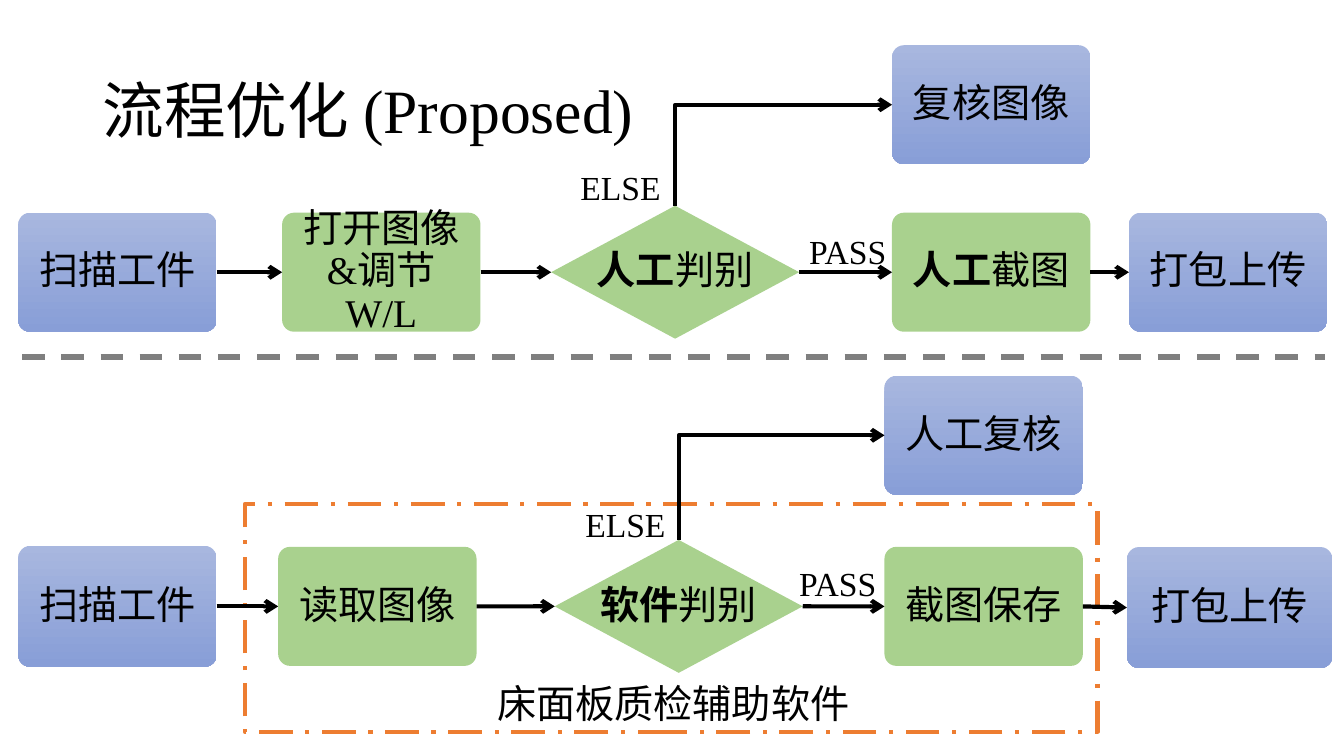
import pptx
import pptx.util
import pptx.dml.color
import pptx.enum.dml
import pptx.enum.shapes
import pptx.enum.text
import pptx.oxml.ns
import lxml.etree

Cm, Pt = pptx.util.Cm, pptx.util.Pt
RGB = pptx.dml.color.RGBColor.from_string
Kind = pptx.enum.shapes.MSO_SHAPE
Wire = pptx.enum.shapes.MSO_CONNECTOR
Dash = pptx.enum.dml.MSO_LINE
Align = pptx.enum.text.PP_ALIGN
Anchor = pptx.enum.text.MSO_ANCHOR
qn = pptx.oxml.ns.qn

# Content: name, runs as (text, bold), look, left, middle, width, height in cm
STEPS = [
    ("scan", [("扫描工件", False)], "blue", 0.46, 6.86, 5, 3),
    ("open", [("打开图像&调节W/L", False)], "green", 7.11, 6.86, 5, 3),
    ("judge", [("人工", True), ("判别", False)], "choice", 13.89, 6.86, 6.25, 3.35),
    ("crop", [("人工", True), ("截图", False)], "green", 22.48, 6.86, 5, 3),
    ("send", [("打包上传", False)], "blue", 28.45, 6.86, 5, 3),
    ("check", [("复核图像", False)], "blue", 22.48, 2.64, 5, 3),
    ("scan2", [("扫描工件", False)], "blue", 0.46, 15.28, 5, 3.05),
    ("read2", [("读取图像", False)], "green", 7.01, 15.28, 5, 3),
    ("judge2", [("软件", True), ("判别", False)], "choice", 13.98, 15.28, 6.25, 3.35),
    ("crop2", [("截图保存", False)], "green", 22.29, 15.28, 5, 3),
    ("send2", [("打包上传", False)], "blue", 28.4, 15.31, 5.18, 3.05),
    ("check2", [("人工复核", False)], "blue", 22.29, 10.97, 5, 3),
]
FLOWS = [("scan", "open", "judge", "crop", "send"),
         ("scan2", "read2", "judge2", "crop2", "send2")]
TURNS = [("judge", "check"), ("judge2", "check2")]
LABELS = [("PASS", 20.14, 5.69), ("ELSE", 14.38, 4.09),
          ("PASS", 19.89, 14.05), ("ELSE", 14.5, 12.57)]
TITLE = ("流程优化 (Proposed)", 2.34, 1.02, 29.2, 3.68)
NOTE = ("床面板质检辅助软件", 10.21, 17.12, 13.51, 1.35)
FRAME = (6.17, 12.7, 21.49, 5.74)
RULE = (0.56, 8.99, 33.38, 8.99)

THEME = {
    "font": "Times New Roman", "ink": "000000", "green": "A9D18E",
    "blue": ("A8B7DF", "889ED7"), "frame": "ED7D31", "rule": "7F7F7F",
    "title": 44, "step": 28, "label": 24, "line": 3, "thick": 4,
}

deck = pptx.Presentation()
deck.slide_width, deck.slide_height = Cm(33.87), Cm(19.05)
page = deck.slides.add_slide(deck.slide_layouts[6]).shapes


def put(item, form):
    for key, val in form.items():
        setattr(item, key, val)


def write(shape, runs, size, align=Align.CENTER, wrap=True, inset=None, lead=0.9):
    frame = shape.text_frame
    form = {"word_wrap": wrap, "vertical_anchor": Anchor.MIDDLE}
    if inset is not None:
        form.update(margin_left=Cm(inset), margin_right=Cm(inset),
                    margin_top=0, margin_bottom=0)
    put(frame, form)
    para = frame.paragraphs[0]
    put(para, {"alignment": align, "line_spacing": lead})
    for text, bold in runs:
        run = para.add_run()
        run.text = text
        put(run.font, {"name": THEME["font"], "size": Pt(THEME[size]), "bold": bold})
        run.font.color.rgb = RGB(THEME["ink"])


def label(text, box, size, **form):
    shape = page.add_textbox(*map(Cm, box))
    write(shape, [(text, False)], size, **form)


def stroke(line, color, width, dash=None):
    line.color.rgb = RGB(THEME[color])
    put(line, {"width": Pt(THEME[width]), "dash_style": dash})


def wire(kind, ends):
    link = page.add_connector(kind, *map(Cm, ends))
    lxml.etree.SubElement(link.element.spPr, qn("a:effectLst"))
    return link


def arrow(kind, start, stop, side):
    link = wire(kind, (0, 0, 1, 1))
    link.begin_connect(start, side)
    link.end_connect(stop, 1)
    stroke(link.line, "ink", "line")
    line = link.element.spPr.find(qn("a:ln"))
    lxml.etree.SubElement(line, qn("a:tailEnd"), type="arrow")
    return link


# Software frame and title
frame = page.add_shape(Kind.RECTANGLE, *map(Cm, FRAME))
frame.shadow.inherit = False
frame.fill.background()
stroke(frame.line, "frame", "line", Dash.LONG_DASH_DOT)
label(TITLE[0], TITLE[1:], "title", align=Align.LEFT)

# Process steps
steps = {}
for name, runs, look, left, mid, width, height in STEPS:
    choice = look == "choice"
    kind = Kind.FLOWCHART_DECISION if choice else Kind.ROUNDED_RECTANGLE
    box = (left, mid - height / 2, width, height)
    step = steps[name] = page.add_shape(kind, *map(Cm, box))
    step.shadow.inherit = False
    step.line.fill.background()
    if not choice:
        step.adjustments[0] = 0.1
    if look == "blue":
        step.fill.gradient()
        step.fill.gradient_angle = 270
        for stop, tone, place in zip(step.fill.gradient_stops, THEME["blue"], (0, 1)):
            stop.color.rgb = RGB(tone)
            stop.position = place
    else:
        step.fill.solid()
        step.fill.fore_color.rgb = RGB(THEME["green"])
    write(step, runs, "step", wrap=not choice, inset=0.14)

# Straight arrows along each flow
for flow in FLOWS:
    for start, stop in zip(flow, flow[1:]):
        arrow(Wire.STRAIGHT, steps[start], steps[stop], 3)

# Bent arrows: up from the choice, then right to the check
for start, stop in TURNS:
    low, high = steps[start], steps[stop]
    link = arrow(Wire.ELBOW, low, high, 0)
    x, y = low.left + low.width // 2, high.top + high.height // 2
    wide, tall = high.left - x, low.top - y
    put(link, {"left": x + (wide - tall) // 2, "top": y + (tall - wide) // 2,
               "width": tall, "height": wide})
    link.element.spPr.find(qn("a:prstGeom")).set("prst", "bentConnector2")
    turn = link.element.spPr.find(qn("a:xfrm"))
    for key, val in {"rot": "5400000", "flipH": "1", "flipV": "1"}.items():
        turn.set(key, val)

# Divider, branch labels and caption
stroke(wire(Wire.STRAIGHT, RULE).line, "rule", "thick", Dash.DASH)
for text, left, top in LABELS:
    label(text, (left, top, 2.8, 1.27), "label", align=Align.LEFT, lead=1.0)
label(NOTE[0], NOTE[1:], "step")

deck.save("out.pptx")
